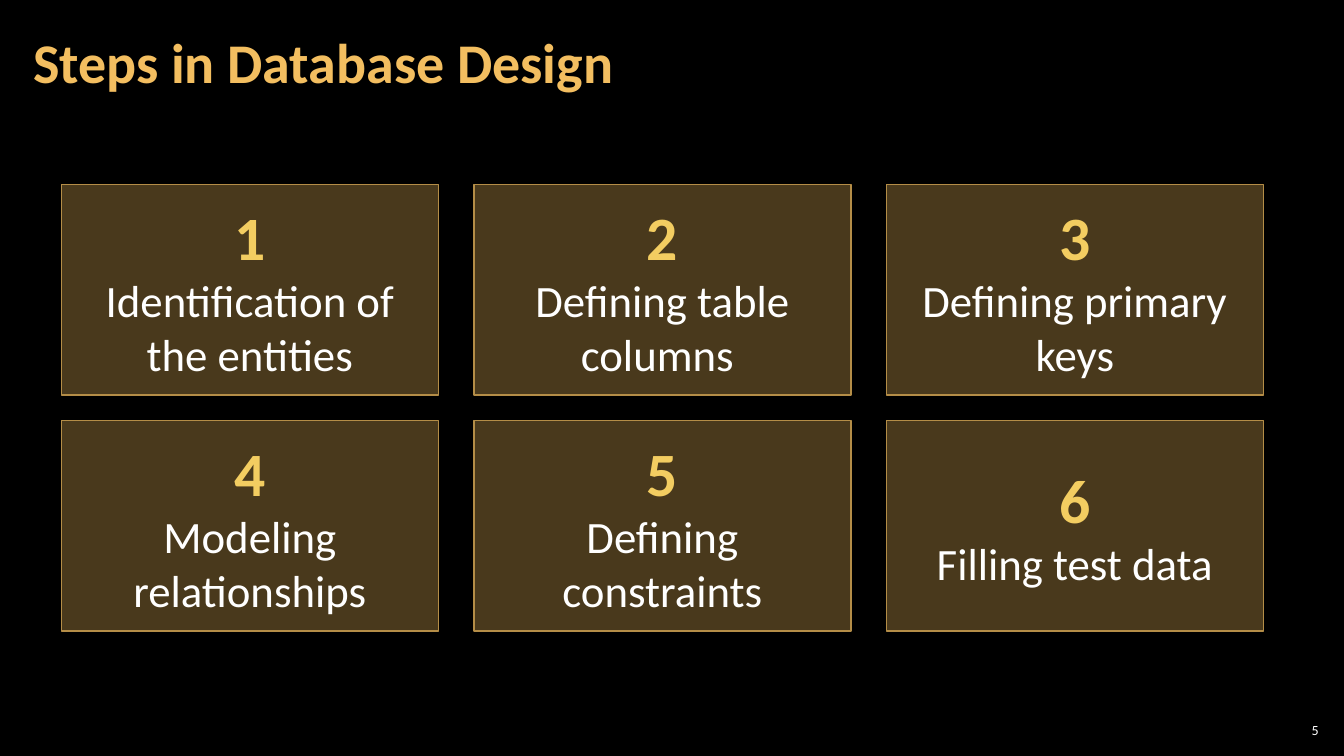
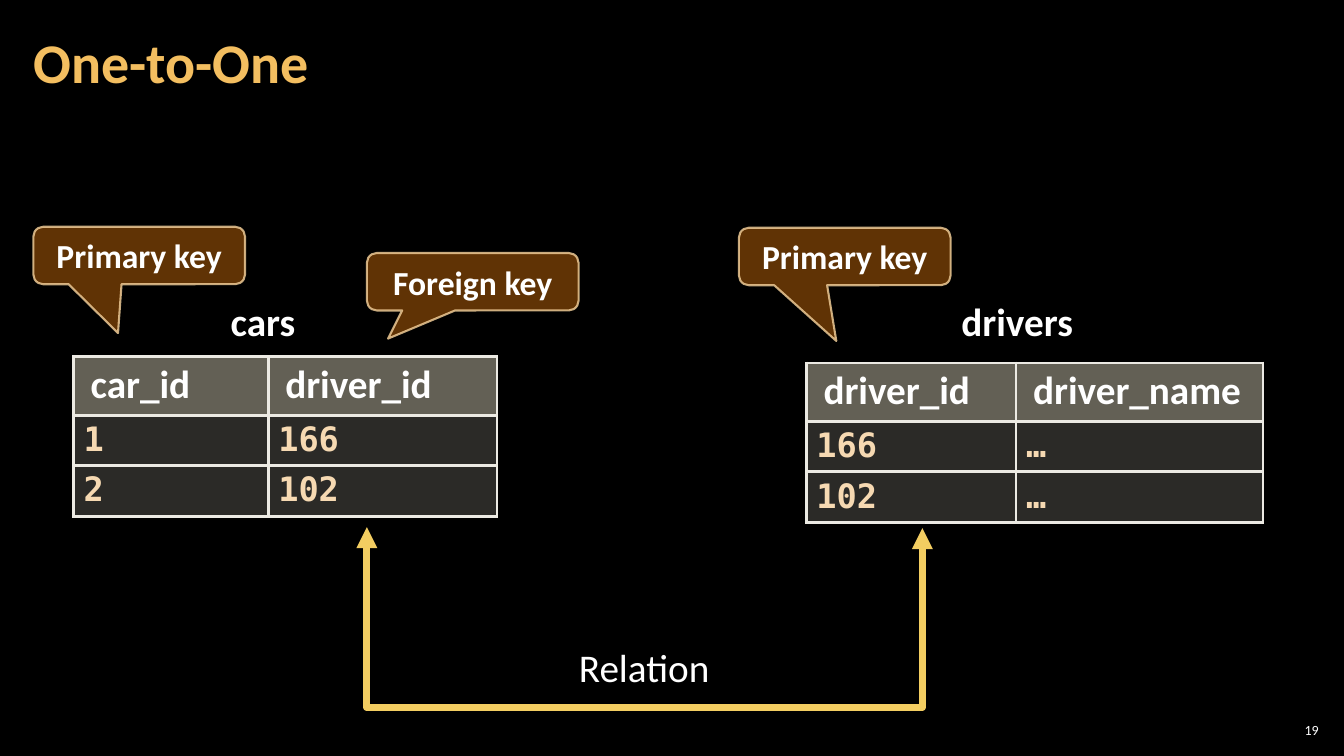
from dataclasses import dataclass
from typing import Optional

from lxml import etree
from pptx import Presentation, util as u
from pptx.dml.color import RGBColor
from pptx.enum import shapes, text
from pptx.oxml.ns import qn

WIDTH, HEIGHT = u.Inches(13.33), u.Inches(7.5)
SANS, MONO = "Calibri", "DejaVu Sans Mono"
BLACK, WHITE = "000000", "FFFFFF"
GOLD, YELLOW, BRONZE = "F3BE60", "F3CD61", "B48D47"
BROWN, SAND, CREAM = "663606", "F8D49E", "F6D9B2"
HEADER_GREY, CELL_GREY, BORDER = "C6C0AA", "D9D5C7", "ECEAE3"
LEFT, CENTER, RIGHT = (text.PP_ALIGN.LEFT, text.PP_ALIGN.CENTER,
                       text.PP_ALIGN.RIGHT)
MIDDLE, TOP = text.MSO_ANCHOR.MIDDLE, text.MSO_ANCHOR.TOP


@dataclass(frozen=True)
class Area:
    """A rectangle in percent of the slide's width and height."""
    left: float
    top: float
    width: float
    height: float

    def emu(self) -> tuple[int, int, int, int]:
        return (across(self.left), down(self.top),
                across(self.width), down(self.height))


@dataclass(frozen=True)
class Style:
    size: int
    color: str = WHITE
    bold: bool = False
    font: str = SANS
    align: text.PP_ALIGN = LEFT
    spacing: Optional[float] = None


@dataclass(frozen=True)
class Callout:
    label: str
    left: float
    top: float
    tip: tuple[float, float]


@dataclass(frozen=True)
class DataTable:
    name: str
    name_area: Area
    left: float
    top: float
    columns: tuple[float, ...]
    rows: tuple[tuple[str, ...], ...]


TITLE_AREA = Area(1.57, 0.53, 78.53, 16.13)
NUMBER_AREA = Area(94.88, 95.2, 3.53, 2.8)
TITLE = Style(40, GOLD, True, spacing=0.9)
NUMBER = Style(10, align=RIGHT)

CARD_AREA = Area(4.57, 24.4, 28.05, 27.87)
CARD_COLUMNS, COLUMN_STEP, ROW_STEP = 3, 30.69, 31.2
CARD_NUMBER = Style(44, YELLOW, True, align=CENTER)
CARD_LABEL = Style(32, align=CENTER)
STEPS = (
    "Identification of the entities",
    "Defining table columns ",
    "Defining primary keys",
    "Modeling relationships",
    "Defining constraints",
    "Filling test data",
)

CALLOUT_WIDTH, CALLOUT_HEIGHT = 15.75, 7.6
CALLOUT_LABEL = Style(24, bold=True, align=CENTER)
CALLOUTS = (
    Callout("Primary key", 2.48, 30, (-0.1, 1.35)),
    Callout("Foreign key", 27.3, 33.47, (-0.4, 0.99)),
    Callout("Primary key", 54.98, 30.13, (-0.04, 1.47)),
)

HEADER_HEIGHT, ROW_HEIGHT = 7.73, 6.27
TABLE_NAME = Style(28, bold=True)
HEADER_CELL = Style(28, bold=True, spacing=0.95)
BODY_CELL = Style(24, CREAM, True, MONO)
TABLES = (
    DataTable("cars", Area(16.43, 38.67, 6.38, 7.6), 5.48, 47.2,
              (14.48, 17.03),
              (("car_id", "driver_id"), ("1", "166"), ("2", "102"))),
    DataTable("drivers", Area(70.8, 38.67, 9.9, 7.6), 60, 48,
              (15.6, 18.38),
              (("driver_id", "driver_name"), ("166", "…"), ("102", "…"))),
)

RELATION = Area(27.3, 69.8, 41.33, 24.2)
RELATION_AREA = Area(40.43, 84.4, 15, 7.6)


def across(share: float) -> int:
    return round(WIDTH * share / 100)


def down(share: float) -> int:
    return round(HEIGHT * share / 100)


def rgb(color: str) -> RGBColor:
    return RGBColor.from_string(color)


def paint(fill, color: str) -> None:
    fill.solid()
    fill.fore_color.rgb = rgb(color)


def set_opacity(properties, percent: int) -> None:
    """Make the solid fill directly under a properties element see-through."""
    color = properties.find(qn("a:solidFill"))[0]
    etree.SubElement(color, qn("a:alpha"), val=str(percent * 1000))


def write(frame, lines: list[tuple[str, Style]]) -> None:
    frame.text = "\n".join(words for words, _ in lines)
    for para, (_, style) in zip(frame.paragraphs, lines):
        para.alignment = style.align
        if style.spacing:
            para.line_spacing = style.spacing
        for span in para.runs:
            span.font.name = style.font
            span.font.size = u.Pt(style.size)
            span.font.bold = style.bold
            span.font.color.rgb = rgb(style.color)


def add_text(page, area: Area, words: str, style: Style, anchor=TOP,
             side: float = 0.1, edge: float = 0.05, wrap: bool = True) -> None:
    frame = page.shapes.add_textbox(*area.emu()).text_frame
    frame.word_wrap = wrap
    frame.vertical_anchor = anchor
    frame.margin_left = frame.margin_right = u.Inches(side)
    frame.margin_top = frame.margin_bottom = u.Inches(edge)
    write(frame, [(words, style)])


def add_panel(page, kind, area: Area, lines: list[tuple[str, Style]],
              fill: str, fill_opacity: int, line: str, line_width: float,
              line_opacity: int = 100):
    panel = page.shapes.add_shape(kind, *area.emu())
    panel.shadow.inherit = False
    paint(panel.fill, fill)
    set_opacity(panel._element.spPr, fill_opacity)
    paint(panel.line.fill, line)
    panel.line.width = u.Pt(line_width)
    set_opacity(panel._element.spPr.find(qn("a:ln")), line_opacity)
    panel.text_frame.word_wrap = True
    panel.text_frame.vertical_anchor = MIDDLE
    write(panel.text_frame, lines)
    return panel


def add_page(deck, title: str, number: int):
    page = deck.slides.add_slide(deck.slide_layouts[6])
    paint(page.background.fill, BLACK)
    add_text(page, NUMBER_AREA, str(number), NUMBER, MIDDLE, 0.04, 0.04)
    add_text(page, TITLE_AREA, title, TITLE, MIDDLE, 0.12, 0.04)
    return page


def add_card(page, index: int, label: str) -> None:
    row, column = divmod(index, CARD_COLUMNS)
    area = Area(CARD_AREA.left + column * COLUMN_STEP,
                CARD_AREA.top + row * ROW_STEP,
                CARD_AREA.width, CARD_AREA.height)
    lines = [(str(index + 1), CARD_NUMBER), (label, CARD_LABEL)]
    add_panel(page, shapes.MSO_SHAPE.RECTANGLE, area, lines,
              GOLD, 30, BRONZE, 1)


def add_callout(page, callout: Callout) -> None:
    area = Area(callout.left, callout.top, CALLOUT_WIDTH, CALLOUT_HEIGHT)
    panel = add_panel(page, shapes.MSO_SHAPE.ROUNDED_RECTANGULAR_CALLOUT, area,
                      [(callout.label, CALLOUT_LABEL)],
                      BROWN, 95, SAND, 1.5, 80)
    for index, value in enumerate((*callout.tip, 0.17)):
        panel.adjustments[index] = value


def add_borders(properties) -> None:
    for side in ("lnL", "lnR", "lnT", "lnB"):
        line = etree.SubElement(properties, qn(f"a:{side}"),
                                w=str(u.Pt(2.25)))
        fill = etree.SubElement(line, qn("a:solidFill"))
        etree.SubElement(fill, qn("a:srgbClr"), val=BORDER)


def format_cell(cell, words: str, is_header: bool) -> None:
    properties = cell._tc.get_or_add_tcPr()
    add_borders(properties)
    paint(cell.fill, HEADER_GREY if is_header else CELL_GREY)
    set_opacity(properties, 50 if is_header else 20)
    if is_header:
        cell.margin_left = cell.margin_right = u.Inches(0.17)
    write(cell.text_frame, [(words, HEADER_CELL if is_header else BODY_CELL)])


def add_data_table(page, data: DataTable) -> None:
    add_text(page, data.name_area, data.name, TABLE_NAME, wrap=False)
    heights = [HEADER_HEIGHT] + [ROW_HEIGHT] * (len(data.rows) - 1)
    area = Area(data.left, data.top, sum(data.columns), sum(heights))
    table = page.shapes.add_table(len(data.rows), len(data.columns),
                                  *area.emu()).table
    table.horz_banding = False
    for column, width in zip(table.columns, data.columns):
        column.width = across(width)
    for row, height, values in zip(table.rows, heights, data.rows):
        row.height = down(height)
        for cell, words in zip(row.cells, values):
            format_cell(cell, words, values is data.rows[0])


def add_relation(page, area: Area) -> None:
    """Draw a U-shaped elbow, turned a quarter, with an arrow at each end."""
    left, top, width, depth = area.emu()
    offset = u.Inches(0.01)
    middle = left + width // 2
    link = page.shapes.add_connector(
        shapes.MSO_CONNECTOR.ELBOW, middle + offset // 2, top - width // 2,
        middle - offset // 2, top + width // 2)
    paint(link.line.fill, YELLOW)
    link.line.width = u.Pt(5)
    properties = link._element.spPr
    properties.find(qn("a:xfrm")).set("rot", str(270 * 60000))
    geometry = properties.find(qn("a:prstGeom"))
    guides = geometry.find(qn("a:avLst"))
    if guides is None:
        guides = etree.SubElement(geometry, qn("a:avLst"))
    etree.SubElement(guides, qn("a:gd"), name="adj1",
                     fmla=f"val {round(depth / offset * 100000)}")
    for end in ("headEnd", "tailEnd"):
        etree.SubElement(properties.find(qn("a:ln")), qn(f"a:{end}"),
                         type="triangle")
    etree.SubElement(properties, qn("a:effectLst"))


def build_steps(deck) -> None:
    page = add_page(deck, "Steps in Database Design", 5)
    for index, label in enumerate(STEPS):
        add_card(page, index, label)


def build_one_to_one(deck) -> None:
    page = add_page(deck, "One-to-One", 19)
    for callout in CALLOUTS:
        add_callout(page, callout)
    add_relation(page, RELATION)
    add_text(page, RELATION_AREA, "Relation", Style(28, align=CENTER))
    for data in TABLES:
        add_data_table(page, data)


def main() -> None:
    deck = Presentation()
    deck.slide_width, deck.slide_height = WIDTH, HEIGHT
    build_steps(deck)
    build_one_to_one(deck)
    deck.save("out.pptx")


if __name__ == "__main__":
    main()
